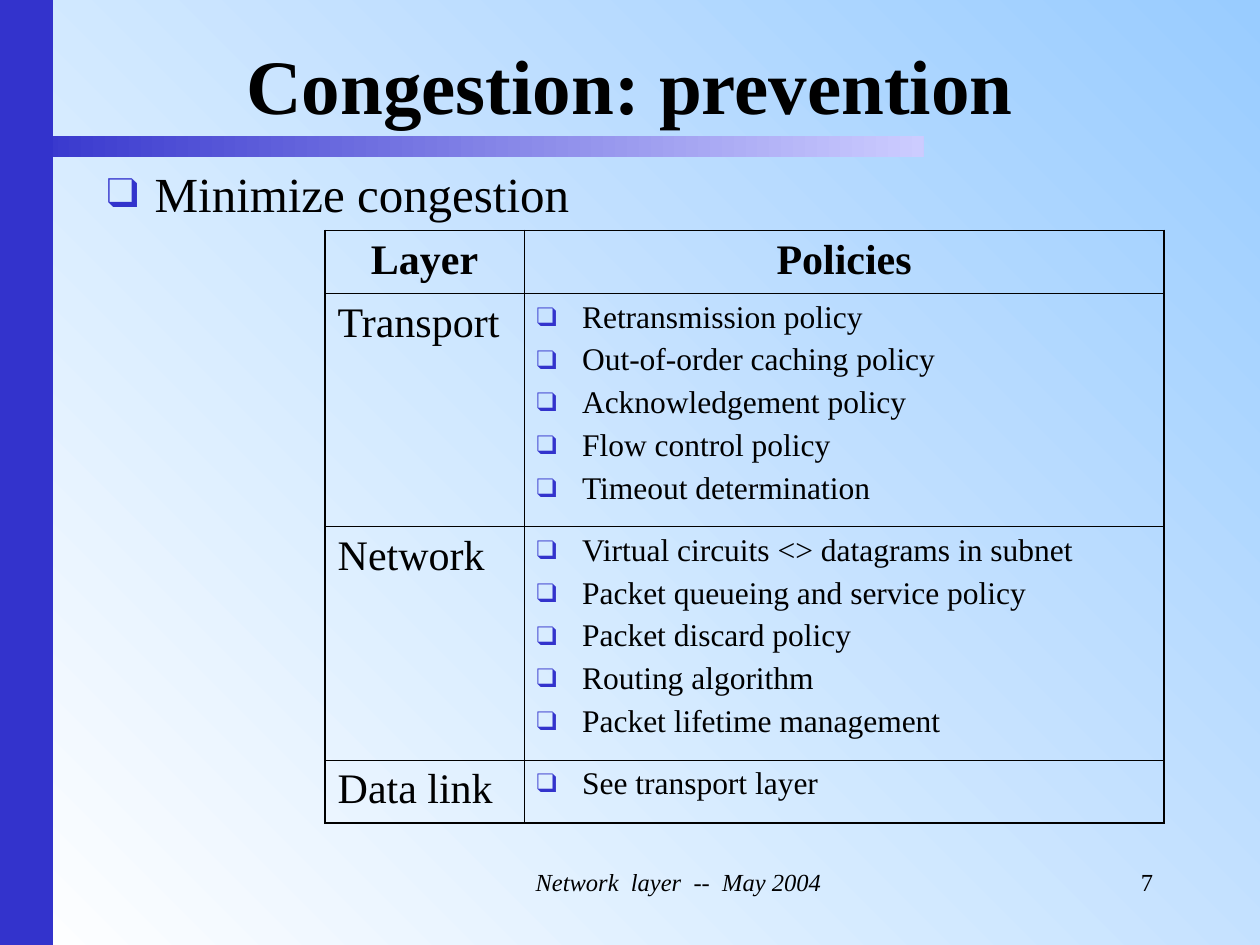
import pptx
import pptx.util
import pptx.dml.color
import pptx.enum.shapes
import pptx.enum.text
import pptx.oxml.ns
import lxml.etree

# Content
TITLE = "Congestion: prevention"
LEAD = "Minimize congestion"
FOOTER = "Network\u00a0 layer\u00a0 --\u00a0 May 2004".replace("\u00a0", " ")
PAGE_NUMBER = "7"
HEADINGS = ("Layer", "Policies")
LAYERS = [
    ("Transport", ["Retransmission policy", "Out-of-order caching policy",
                   "Acknowledgement policy", "Flow control policy",
                   "Timeout determination"]),
    ("Network", ["Virtual circuits <> datagrams in subnet",
                 "Packet queueing and service policy", "Packet discard policy",
                 "Routing algorithm", "Packet lifetime management"]),
    ("Data link", ["See transport layer"]),
]

# Format
COLORS = {"ink": "000000", "accent": "3333CC", "pale": "CCCCFF",
          "white": "FFFFFF", "sky": "99CCFF"}
FONT = "Times New Roman"
WIDTH, HEIGHT = 10, 7.5
COLUMNS = (1.58, 5.08)
ROWS = (0.5, 1.85, 1.85, 0.5)
OUTER, INNER = 1.08, 0.45
ALIGN = pptx.enum.text.PP_ALIGN
ANCHOR = pptx.enum.text.MSO_ANCHOR
inches = pptx.util.Inches


def color(name):
    return pptx.dml.color.RGBColor.from_string(COLORS[name])


def add_child(parent, tag, **attributes):
    child = lxml.etree.SubElement(parent, pptx.oxml.ns.qn(tag))
    for name, value in attributes.items():
        child.set(name, str(value))
    return child


def write(frame, lines, size=18, bold=False, italic=False, align=ALIGN.LEFT,
          anchor=ANCHOR.TOP, before=0, hang=0):
    """Fill a text frame; a hang above zero gives each line a bullet."""
    frame.word_wrap = True
    frame.vertical_anchor = anchor
    for index, line in enumerate(lines):
        para = frame.add_paragraph() if index else frame.paragraphs[0]
        para.alignment = align
        para.space_before = pptx.util.Pt(before)
        if hang:
            settings = para._p.get_or_add_pPr()
            settings.set("marL", str(inches(hang)))
            settings.set("indent", str(-inches(hang)))
            tint = add_child(settings, "a:buClr")
            add_child(tint, "a:srgbClr", val=COLORS["accent"])
            add_child(settings, "a:buSzPct", val=85000)
            add_child(settings, "a:buFont", typeface=FONT)
            add_child(settings, "a:buChar", char="❑")
        span = para.add_run()
        span.text = line
        span.font.name = FONT
        span.font.size = pptx.util.Pt(size)
        span.font.bold = bold
        span.font.italic = italic
        span.font.color.rgb = color("ink")


def add_text(page, place, line, **form):
    box = page.shapes.add_textbox(*map(inches, place))
    write(box.text_frame, [line], **form)


def add_band(page, place):
    band = page.shapes.add_shape(pptx.enum.shapes.MSO_SHAPE.RECTANGLE,
                                 *map(inches, place))
    band.shadow.inherit = False
    band.line.fill.background()
    return band


def fade(fill, start, end, angle):
    fill.gradient()
    fill.gradient_angle = angle
    for stop, name in zip(fill.gradient_stops, (start, end)):
        stop.color.rgb = color(name)


def set_borders(cell, widths):
    """Draw the cell's edges; widths maps L, R, T and B to points."""
    cell.fill.background()
    settings = cell._tc.get_or_add_tcPr()
    for index, (side, width) in enumerate(widths.items()):
        line = add_child(settings, "a:ln" + side, w=int(pptx.util.Pt(width)))
        add_child(add_child(line, "a:solidFill"), "a:srgbClr", val=COLORS["ink"])
        settings.insert(index, line)


def add_policy_table(page):
    frame = page.shapes.add_table(len(ROWS), len(COLUMNS), inches(2.58), inches(1.83),
                                  inches(sum(COLUMNS)), inches(sum(ROWS)))
    table = frame.table
    table.first_row = table.horz_banding = False
    for column, width in zip(table.columns, COLUMNS):
        column.width = inches(width)
    for row, height in zip(table.rows, ROWS):
        row.height = inches(height)

    for cell, heading in zip(table.rows[0].cells, HEADINGS):
        write(cell.text_frame, [heading], size=24, bold=True, before=6,
              align=ALIGN.CENTER)
    for index, (layer, policies) in enumerate(LAYERS, start=1):
        write(table.cell(index, 0).text_frame, [layer], size=24, before=6)
        write(table.cell(index, 1).text_frame, policies, before=4.5, hang=0.36)

    last_row, last_column = len(ROWS) - 1, len(COLUMNS) - 1
    for r in range(len(ROWS)):
        for c in range(len(COLUMNS)):
            edges = {"L": c == 0, "R": c == last_column,
                     "T": r == 0, "B": r == last_row}
            set_borders(table.cell(r, c), {side: OUTER if outside else INNER
                                           for side, outside in edges.items()})


def main():
    deck = pptx.Presentation()
    deck.slide_width, deck.slide_height = inches(WIDTH), inches(HEIGHT)
    page = deck.slides.add_slide(deck.slide_layouts[6])

    # Background and bands
    fade(page.background.fill, "white", "sky", 45)
    fade(add_band(page, (0.08, 1.08, 7.25, 0.17)).fill, "accent", "pale", 0)
    side = add_band(page, (0, 0, 0.42, HEIGHT))
    side.fill.solid()
    side.fill.fore_color.rgb = color("accent")

    # Footer
    add_text(page, (3.18, 6.83, 4.41, 0.5), FOOTER, size=14, italic=True,
             align=ALIGN.CENTER)
    add_text(page, (7.83, 6.83, 1.42, 0.5), PAGE_NUMBER, size=14, align=ALIGN.RIGHT)

    # Title, lead line and table
    add_text(page, (0.5, 0.25, 9, 0.83), TITLE, size=44, bold=True,
             align=ALIGN.CENTER, anchor=ANCHOR.MIDDLE)
    add_text(page, (0.75, 1.25, 8.5, 5.42), LEAD, size=28, before=7, hang=0.38)
    add_policy_table(page)

    deck.save("out.pptx")


if __name__ == "__main__":
    main()
